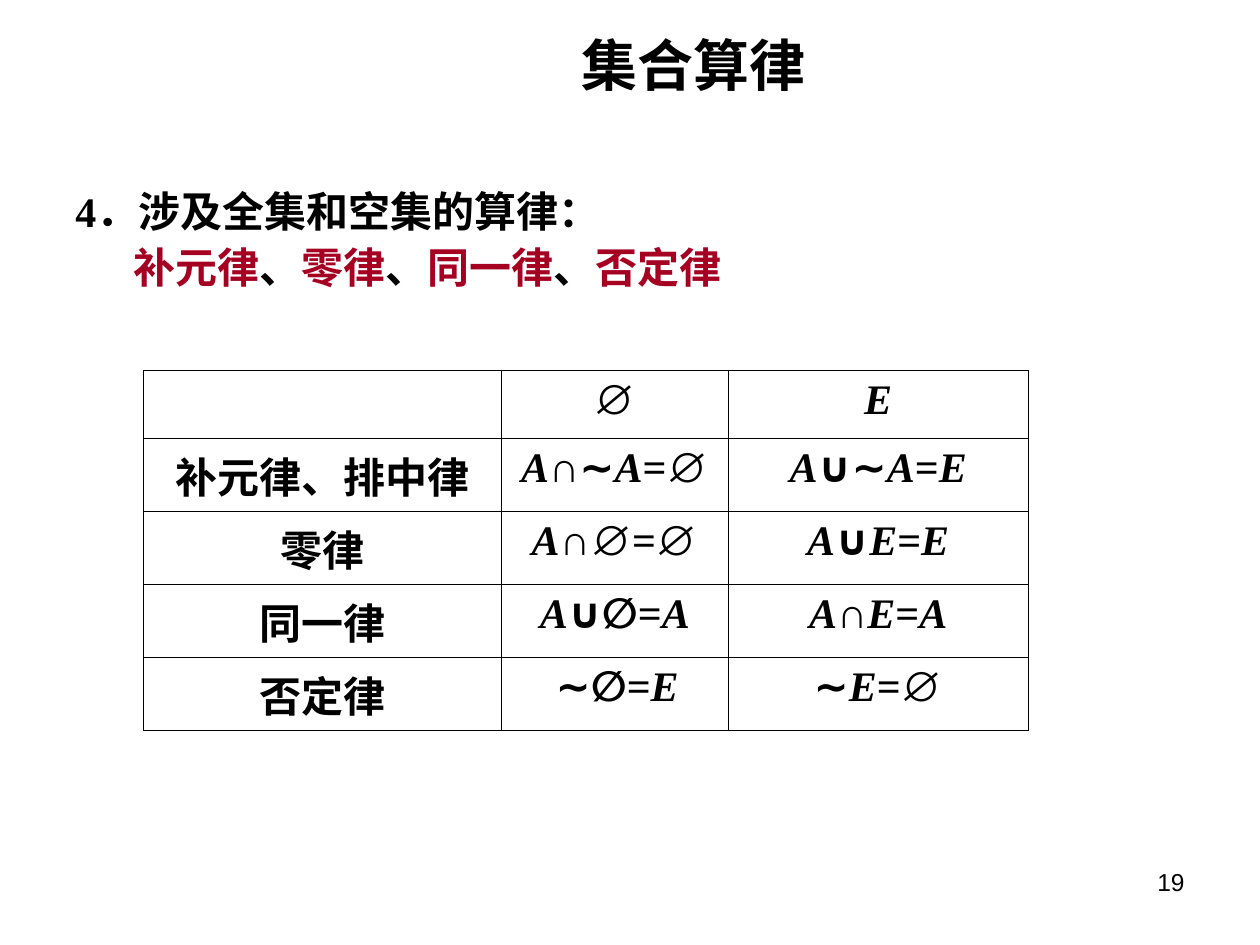
from itertools import groupby

from lxml import etree
from pptx import Presentation
from pptx.dml.color import RGBColor
from pptx.enum.text import MSO_ANCHOR, PP_ALIGN
from pptx.oxml.ns import qn
from pptx.util import Emu, Inches, Pt

BLACK = RGBColor(0x00, 0x00, 0x00)
RED = RGBColor(0xA5, 0x00, 0x21)
SANS, SERIF, CJK = "Arial", "Times New Roman", "Noto Sans CJK SC"
LEFT, CENTER, RIGHT = PP_ALIGN.LEFT, PP_ALIGN.CENTER, PP_ALIGN.RIGHT
MIDDLE = MSO_ANCHOR.MIDDLE

COLUMNS = [2.84, 1.80, 2.38]
ROWS = [0.54] + [0.58] * 4
LAWS = [
    ["", "∅", "E"],
    ["补元律、排中律", "A∩∼A=∅", "A∪∼A=E"],
    ["零律", "A∩∅=∅", "A∪E=E"],
    ["同一律", "A∪∅=A", "A∩E=A"],
    ["否定律", "∼∅=E", "∼E=∅"],
]


def add_run(p, text, size, font, color=BLACK, italic=None):
    r = p.add_run()
    r.text = text
    f = r.font
    f.size, f.name, f.bold, f.italic = Pt(size), font, True, italic
    f.color.rgb = color
    if any("\u3000" <= ch for ch in text):
        ea = etree.SubElement(r._r.get_or_add_rPr(), qn("a:ea"))
        ea.set("typeface", CJK)


def add_formula(p, text):
    """Set letters in italic serif, the equals sign in serif, operators in sans."""
    def style(ch):
        return (SERIF if ch.isalpha() or ch == "=" else SANS), ch.isalpha()

    for (font, italic), chars in groupby(text, style):
        add_run(p, "".join(chars), 24, font, italic=italic)


def add_title(slide, x, y, w, h):
    sp = slide.shapes.title
    sp.left, sp.top, sp.width, sp.height = map(Inches, (x, y, w, h))
    tf = sp.text_frame
    tf.vertical_anchor = MIDDLE
    p = tf.paragraphs[0]
    p.alignment = CENTER
    add_run(p, "集合算律", 32, SANS)


def add_intro(slide, x, y, w, h):
    tf = slide.shapes.add_textbox(*map(Inches, (x, y, w, h))).text_frame
    tf.word_wrap = True
    p = tf.paragraphs[0]
    p.line_spacing = 0.9
    add_run(p, "4．涉及全集和空集的算律：", 24, SERIF)

    p = tf.add_paragraph()
    p.line_spacing = 0.9
    p.space_before = Pt(6)
    p._p.get_or_add_pPr().set("marL", str(Inches(0.46)))
    for i, law in enumerate(["补元律", "零律", "同一律", "否定律"]):
        if i:
            add_run(p, "、", 24, SERIF)
        add_run(p, law, 24, SERIF, RED)


def add_borders(cell):
    tcPr = cell._tc.get_or_add_tcPr()
    for i, side in enumerate(("a:lnL", "a:lnR", "a:lnT", "a:lnB")):
        ln = etree.Element(qn(side), w=str(Pt(0.45)))
        fill = etree.SubElement(ln, qn("a:solidFill"))
        etree.SubElement(fill, qn("a:srgbClr"), val=str(BLACK))
        tcPr.insert(i, ln)


def add_law_table(slide, x, y):
    box = map(Inches, (x, y, sum(COLUMNS), sum(ROWS)))
    table = slide.shapes.add_table(len(ROWS), len(COLUMNS), *box).table
    table.first_row = table.horz_banding = False
    for column, width in zip(table.columns, COLUMNS):
        column.width = Inches(width)
    for row, height, texts in zip(table.rows, ROWS, LAWS):
        row.height = Inches(height)
        for i, (cell, text) in enumerate(zip(row.cells, texts)):
            cell.fill.background()
            add_borders(cell)
            p = cell.text_frame.paragraphs[0]
            p.alignment = CENTER
            if i:
                add_formula(p, text)
            elif text:
                add_run(p, text, 24, CJK)
    # The last law of the empty set is indented rather than centred.
    cell = table.cell(len(ROWS) - 1, 1)
    cell.margin_left = Inches(0.43)
    cell.text_frame.paragraphs[0].alignment = LEFT


def add_page_number(slide, x, y, w, h):
    tf = slide.shapes.add_textbox(*map(Inches, (x, y, w, h))).text_frame
    tf.word_wrap = True
    p = tf.paragraphs[0]
    p.text = "19"
    p.alignment = RIGHT
    p.font.size, p.font.name = Pt(14), SANS
    p.font.color.rgb = BLACK


def main():
    prs = Presentation()
    prs.slide_width, prs.slide_height = Emu(Inches(10)), Emu(Inches(7.5))
    slide = prs.slides.add_slide(prs.slide_layouts[5])
    add_page_number(slide, 7.17, 6.83, 2.33, 0.52)
    add_title(slide, 2.16, 0.28, 6.69, 0.46)
    add_intro(slide, 0.5, 1.47, 9, 0.94)
    add_law_table(slide, 1.14, 2.94)
    prs.save("out.pptx")


if __name__ == "__main__":
    main()
